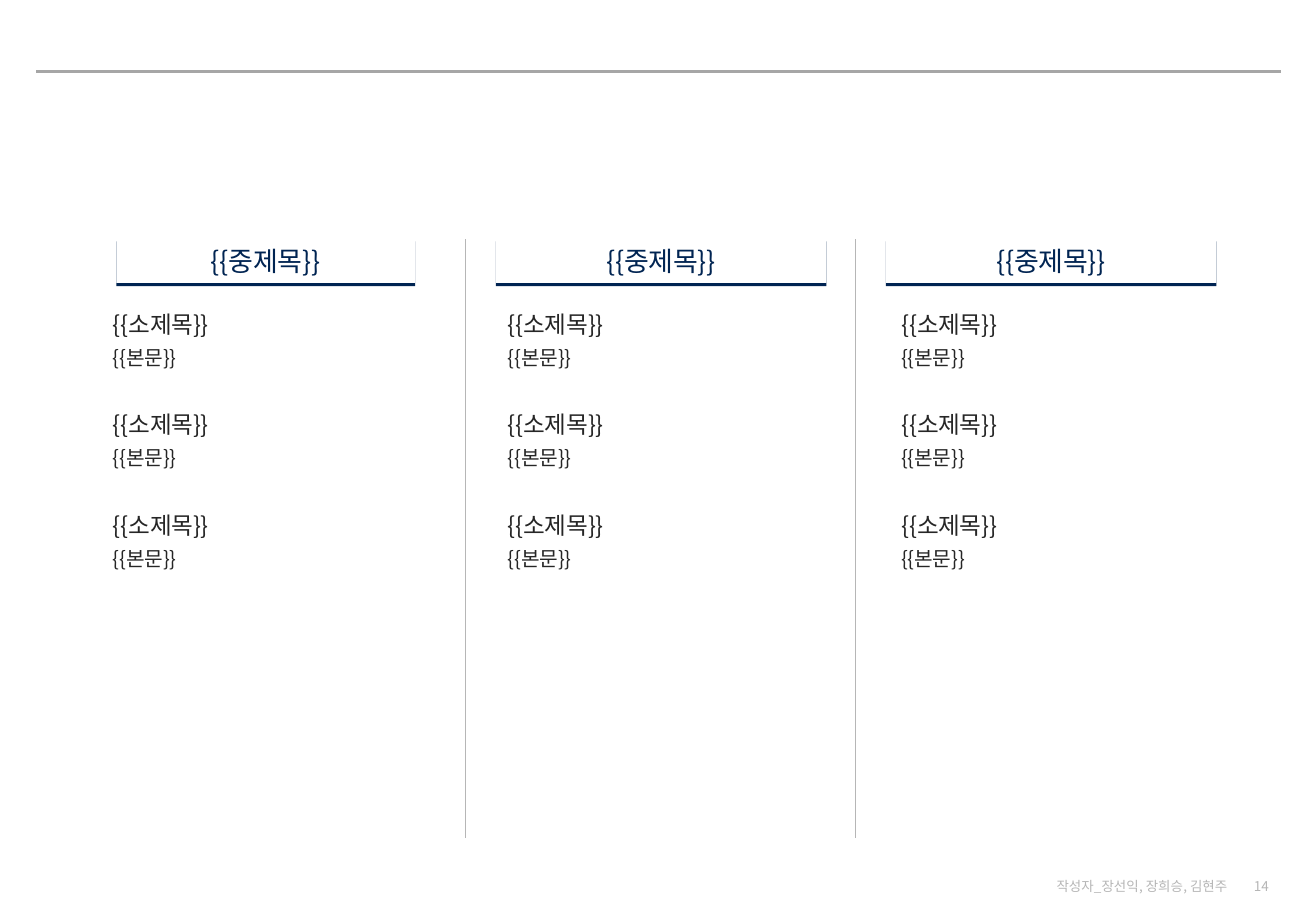
from dataclasses import dataclass

from lxml import etree
from pptx import Presentation
from pptx.dml.color import RGBColor
from pptx.enum.shapes import MSO_CONNECTOR, MSO_SHAPE
from pptx.enum.text import MSO_ANCHOR, PP_ALIGN
from pptx.oxml.ns import qn
from pptx.util import Pt

STRAIGHT = MSO_CONNECTOR.STRAIGHT
RECTANGLE = MSO_SHAPE.RECTANGLE
LEFT, CENTER, RIGHT = PP_ALIGN.LEFT, PP_ALIGN.CENTER, PP_ALIGN.RIGHT
TOP, MIDDLE, BOTTOM = MSO_ANCHOR.TOP, MSO_ANCHOR.MIDDLE, MSO_ANCHOR.BOTTOM


@dataclass(frozen=True)
class Theme:
    font: str = "Noto Sans CJK KR"
    navy: str = "002452"
    ink: str = "262626"
    white: str = "FFFFFF"
    grey: str = "B6B6B6"
    rule: str = "A6A6A6"
    heading_size: float = 16
    subheading_size: float = 14
    body_size: float = 12
    footer_size: float = 8


THEME = Theme()
SLIDE_SIZE = (779.76, 540)
HEADER_RULE = (21.6, 42.5, 737.3)
FOOTER_BOX = (613.4, 519.8, 121, 11.5)
NUMBER_BOX = (729.4, 519.8, 29.5, 11.5)
HEADING_TOP, HEADING_HEIGHT = 141.1, 26.6
BODY_TOP, BODY_WIDTH, BODY_HEIGHT = 175, 195.8, 313.2
DIVIDER_TOP, DIVIDER_BOTTOM = 141.8, 496.8
DIVIDERS = (275.8, 506.9)
# heading left, heading width, body left
COLUMNS = (
    (68.9, 177.1, 59.8),
    (293.8, 195.8, 293.8),
    (524.9, 195.8, 527),
)
HEADING = "{{중제목}}"
SECTIONS = [("{{소제목}}", "{{본문}}")] * 3
SECTION_GAP = 19


def prepare_frame(shape, anchor):
    frame = shape.text_frame
    frame.word_wrap = True
    frame.vertical_anchor = anchor
    return frame


def write_text(paragraph, text, *, size, color, align=LEFT, tracking=0,
               line_spacing=None, space_before=0):
    paragraph.alignment = align
    paragraph.line_spacing = line_spacing
    paragraph.space_before = Pt(space_before)
    run = paragraph.add_run()
    run.text = text
    font = run.font
    font.size = Pt(size)
    font.color.rgb = RGBColor.from_string(color)
    font.name = THEME.font
    properties = run._r.get_or_add_rPr()
    etree.SubElement(properties, qn("a:ea"), typeface=THEME.font)
    if tracking:
        properties.set("spc", str(round(tracking * 100)))


def add_line(slide, start, end, color, width):
    line = slide.shapes.add_connector(STRAIGHT, *map(Pt, start + end))
    line.line.color.rgb = RGBColor.from_string(color)
    line.line.width = Pt(width)
    etree.SubElement(line._element.spPr, qn("a:effectLst"))


def add_bottom_shadow(shape, color, distance):
    shape.shadow.inherit = False
    effects = shape._element.spPr.find(qn("a:effectLst"))
    shadow = etree.SubElement(effects, qn("a:outerShdw"), blurRad="0",
                              dist=str(Pt(distance)), dir="5400000",
                              algn="t", rotWithShape="0")
    etree.SubElement(shadow, qn("a:srgbClr"), val=color)


def add_heading(slide, box, text):
    shape = slide.shapes.add_shape(RECTANGLE, *map(Pt, box))
    shape.fill.solid()
    shape.fill.fore_color.rgb = RGBColor.from_string(THEME.white)
    shape.line.fill.background()
    add_bottom_shadow(shape, THEME.navy, 2)
    write_text(prepare_frame(shape, BOTTOM).paragraphs[0], text, align=CENTER,
               size=THEME.heading_size, color=THEME.navy, tracking=-0.2)


def add_sections(slide, box, sections):
    frame = prepare_frame(slide.shapes.add_textbox(*map(Pt, box)), TOP)
    for index, (subheading, body) in enumerate(sections):
        first = index == 0
        paragraph = frame.paragraphs[0] if first else frame.add_paragraph()
        write_text(paragraph, subheading, size=THEME.subheading_size,
                   color=THEME.ink, tracking=-0.2, line_spacing=1.3,
                   space_before=0 if first else SECTION_GAP)
        write_text(frame.add_paragraph(), body, size=THEME.body_size,
                   color=THEME.ink, tracking=-0.2, line_spacing=1.3)


def add_footer_text(slide, box, text):
    frame = prepare_frame(slide.shapes.add_textbox(*map(Pt, box)), MIDDLE)
    write_text(frame.paragraphs[0], text, align=RIGHT,
               size=THEME.footer_size, color=THEME.grey)


def main():
    presentation = Presentation()
    presentation.slide_width, presentation.slide_height = map(Pt, SLIDE_SIZE)
    slide = presentation.slides.add_slide(presentation.slide_layouts[6])

    left, y, right = HEADER_RULE
    add_line(slide, (left, y), (right + left, y) if right < left else (758.9, y),
             THEME.rule, 0)
    add_footer_text(slide, NUMBER_BOX, "14")
    add_footer_text(slide, FOOTER_BOX, "작성자_장선익, 장희승, 김현주")

    for x in DIVIDERS:
        add_line(slide, (x, DIVIDER_TOP), (x, DIVIDER_BOTTOM), THEME.grey, 0.5)
    for heading_left, heading_width, body_left in COLUMNS:
        add_sections(slide, (body_left, BODY_TOP, BODY_WIDTH, BODY_HEIGHT), SECTIONS)
        add_heading(slide, (heading_left, HEADING_TOP, heading_width, HEADING_HEIGHT),
                    HEADING)

    presentation.save("out.pptx")


if __name__ == "__main__":
    main()
